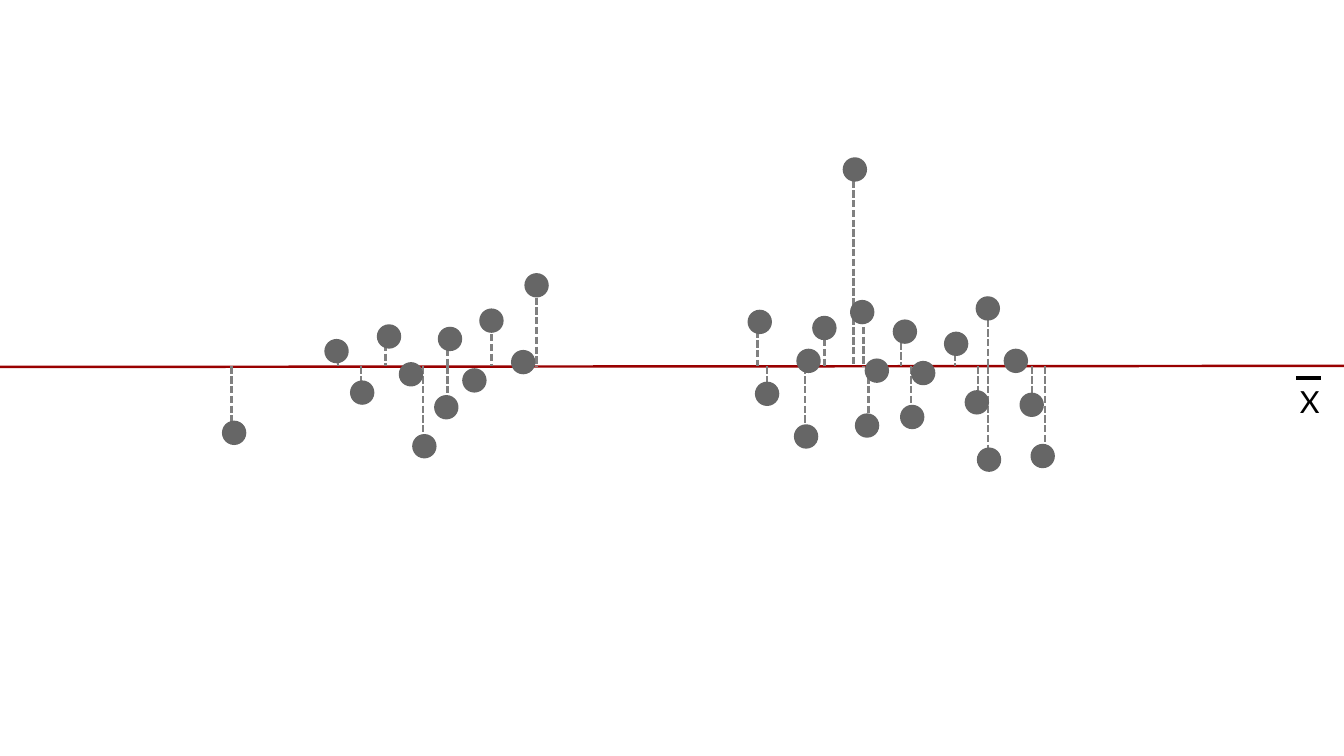
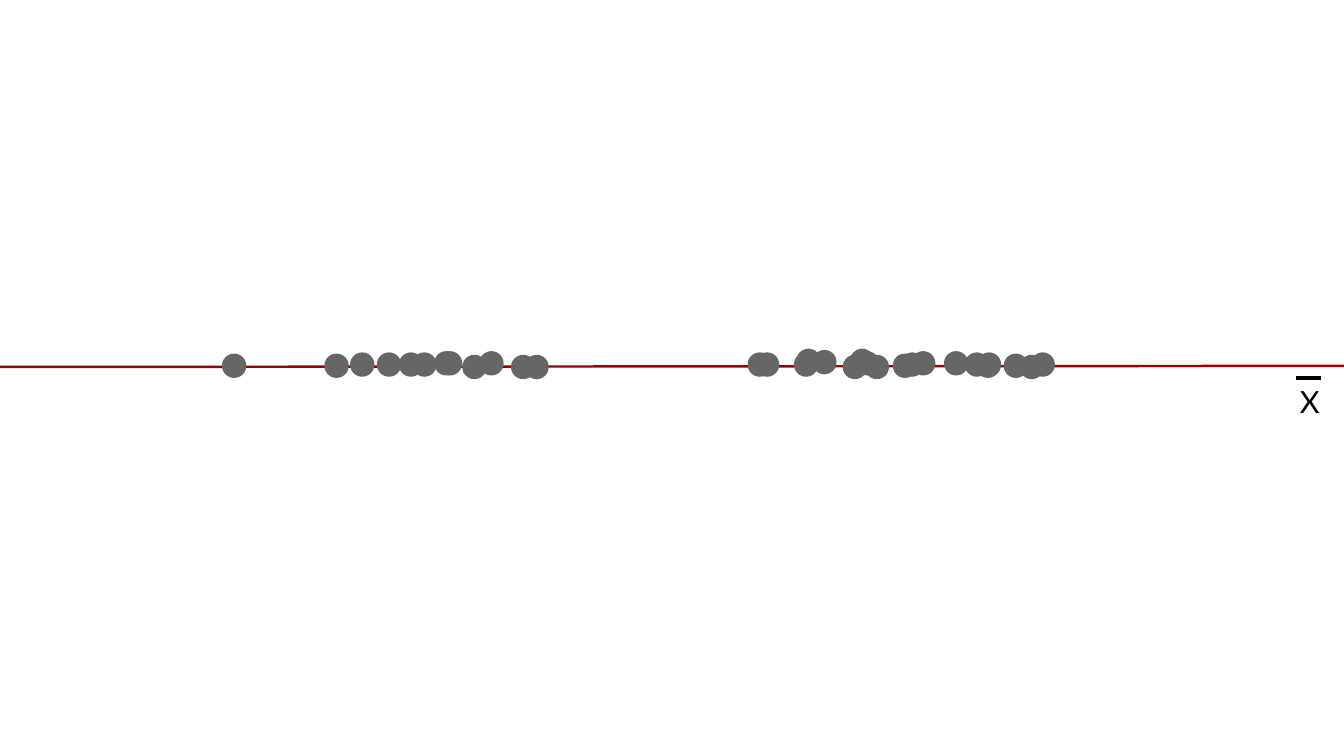
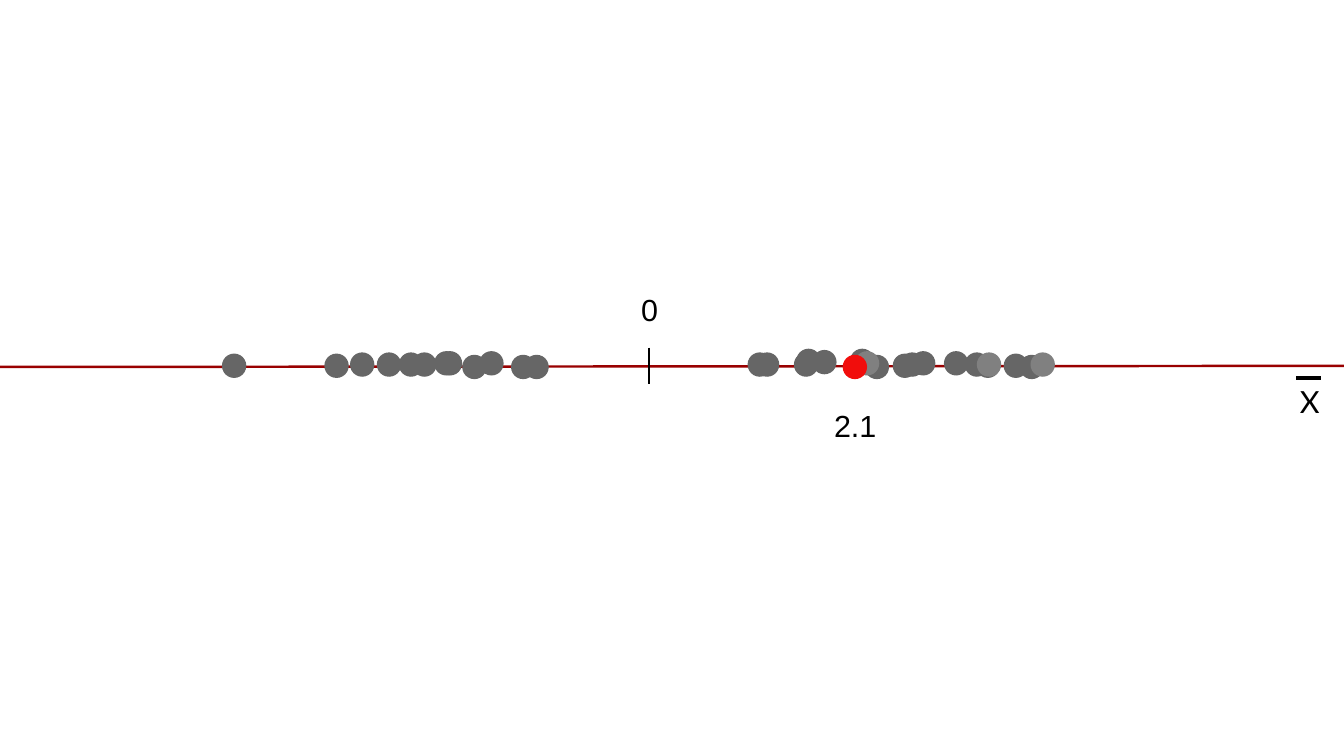
import pptx
import pptx.dml.color
import pptx.enum.dml
import pptx.enum.shapes
import pptx.enum.text
import pptx.oxml.ns
import pptx.util
from lxml import etree

# Grid: ten columns or rows to the inch
COLS, ROWS = 110.2, 62
AXIS_Y = 30.05

# Observations: left, top when scattered, top when moved onto the axis
DOTS = [
    (32.7, 29.7, 28.9), (74.7, 29.6, 28.8), (69.7, 24.6, 28.6),
    (65.3, 28.6, 28.6), (70.9, 29.4, 29.1), (65.1, 34.8, 28.9),
    (70.1, 33.9, 28.8), (73.2, 26.2, 29.0), (66.6, 25.9, 28.7),
    (61.3, 25.4, 28.9), (69.1, 12.9, 29.1), (39.3, 25.3, 28.8),
    (35.9, 26.8, 28.8), (37.9, 30.2, 29.1), (35.6, 32.4, 28.8),
    (41.9, 28.7, 29.1), (43.0, 22.4, 29.1), (30.9, 26.6, 28.9),
    (18.2, 34.5, 29.0), (77.4, 27.2, 28.8), (79.1, 32.0, 28.9),
    (80.0, 24.3, 29.0), (82.3, 28.6, 29.0), (83.6, 32.2, 29.1),
    (26.6, 27.8, 29.0), (80.1, 36.7, 28.9), (84.5, 36.4, 28.9),
    (73.8, 33.2, 28.9), (28.7, 31.2, 28.9), (33.8, 35.6, 28.9),
    (61.9, 31.3, 28.9),
]

# Dashed stems: column, and the row reached from the axis
STEMS = [
    (19.0, 36.1), (27.7, 28.6), (31.6, 27.4), (36.7, 33.0), (36.7, 27.8),
    (40.3, 26.6), (44.0, 23.6), (62.1, 26.3), (66.0, 35.5), (67.6, 27.0),
    (70.0, 14.0), (70.8, 26.0), (71.2, 34.7), (73.9, 27.3), (74.7, 34.3),
    (78.3, 28.2), (80.2, 32.8), (81.0, 25.4), (81.0, 37.5), (84.6, 33.0),
    (85.7, 37.3), (29.6, 32.6), (34.7, 36.5), (62.9, 32.4),
]


def grid(n):
    return pptx.util.Inches(n / 10)


def color(value):
    return pptx.dml.color.RGBColor.from_string(value)


def write(tf, text, *, font="Arial", size=18, fill="000000"):
    r = tf.paragraphs[0].add_run()
    r.text = text
    r.font.name = font
    r.font.size = pptx.util.Pt(size)
    r.font.color.rgb = color(fill)


class Deck:
    BLACK, RED = "000000", "F10D0C"
    AXIS, STEM, DOT, LIGHT = "990000", "808080", "666666", "808080"
    STROKE, DOT_SIZE = 1.45, 2

    def __init__(self):
        self.prs = pptx.Presentation()
        self.prs.slide_width = grid(COLS)
        self.prs.slide_height = grid(ROWS)
        self.s = None

    def slide(self):
        """Start a slide with the axis and its mean symbol."""
        self.s = self.prs.slides.add_slide(self.prs.slide_layouts[6])
        self.line(-4.6, 30.1, 115.3, 30, self.AXIS)
        self.label("X", 105.6, 30.9, 4, 4, wrap=True, font="Lato")
        self.line(106.3, 31, 108.3, 31, self.BLACK, width=0)

    def line(self, x1, y1, x2, y2, stroke, width=STROKE, dashed=False):
        c = self.s.shapes.add_connector(
            pptx.enum.shapes.MSO_CONNECTOR.STRAIGHT,
            grid(x1), grid(y1), grid(x2), grid(y2))
        c.line.color.rgb = color(stroke)
        c.line.width = pptx.util.Pt(width)
        if dashed:
            c.line.dash_style = pptx.enum.dml.MSO_LINE.SQUARE_DOT
        etree.SubElement(c._element.spPr, pptx.oxml.ns.qn("a:effectLst"))

    def stem(self, x, end):
        self.line(x, min(end, AXIS_Y), x, max(end, AXIS_Y), self.STEM, dashed=True)

    def dot(self, x, y, fill=DOT):
        sp = self.s.shapes.add_shape(
            pptx.enum.shapes.MSO_SHAPE.OVAL,
            grid(x), grid(y), grid(self.DOT_SIZE), grid(self.DOT_SIZE))
        sp.shadow.inherit = False
        sp.fill.solid()
        sp.fill.fore_color.rgb = color(fill)
        sp.line.fill.background()

    def label(self, text, x, y, w, h, wrap=False, **style):
        sp = self.s.shapes.add_textbox(grid(x), grid(y), grid(w), grid(h))
        tf = sp.text_frame
        tf.word_wrap = wrap
        tf.auto_size = pptx.enum.text.MSO_AUTO_SIZE.SHAPE_TO_FIT_TEXT
        write(tf, text, **style)

    def projected_dots(self, highlights):
        for x, _, y in DOTS:
            self.dot(x, y, highlights.get(x, self.DOT))


def main():
    deck = Deck()

    # Scattered observations with their distances to the axis
    deck.slide()
    for x, end in STEMS:
        deck.stem(x, end)
    for x, y, _ in DOTS:
        deck.dot(x, y)

    # Observations projected onto the axis
    deck.slide()
    deck.projected_dots({})

    # Projection with the origin and one value marked
    deck.slide()
    deck.projected_dots({70.1: deck.LIGHT, 80.1: deck.LIGHT,
                         84.5: deck.LIGHT, 69.1: deck.RED})
    deck.line(53.2, 28.5, 53.2, 31.5, deck.BLACK)
    deck.label("0", 51.6, 23.4, 3.4, 3.8)
    deck.label("2.1", 67.4, 32.9, 5.5, 3.8)

    deck.prs.save("out.pptx")


if __name__ == "__main__":
    main()
